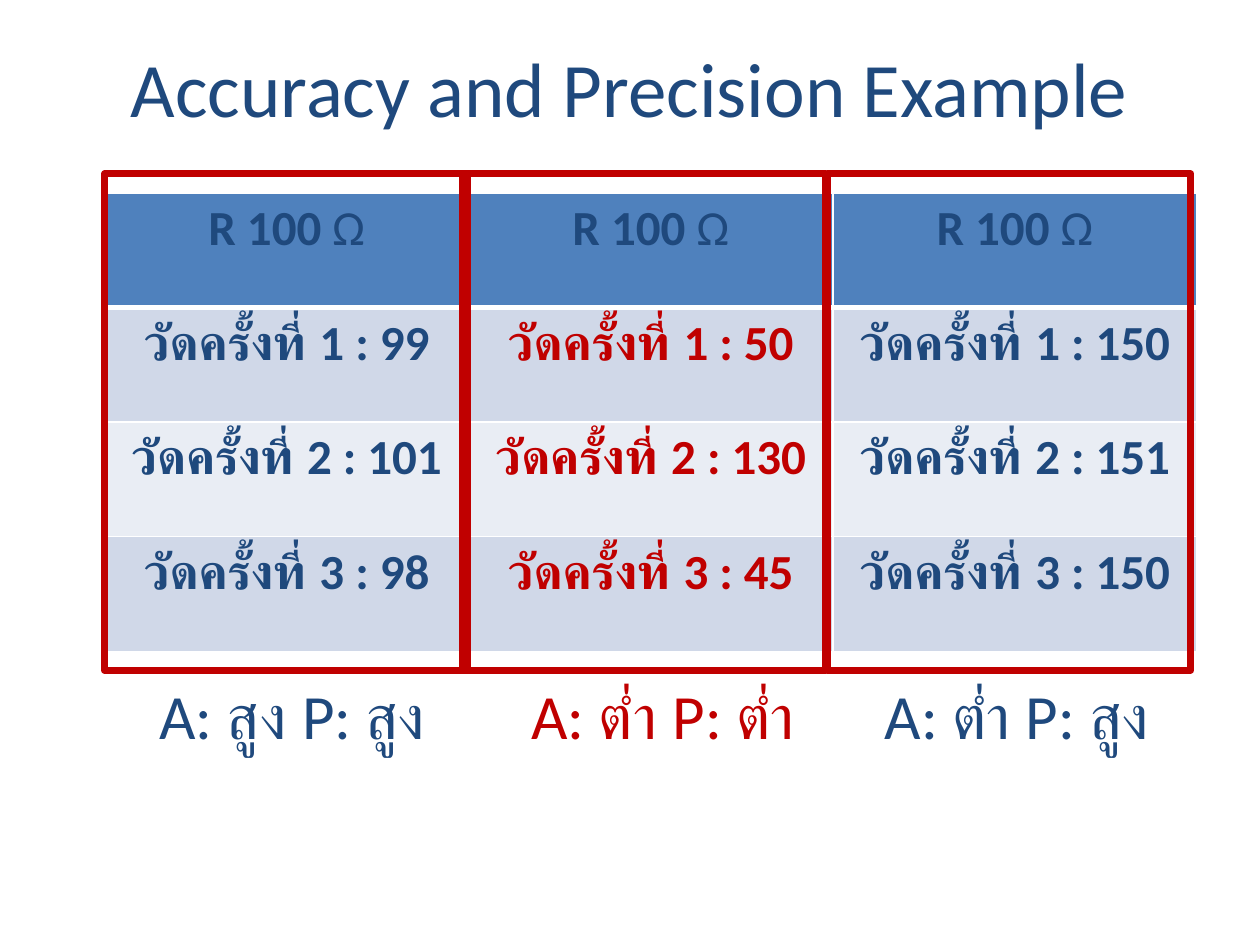
from lxml.etree import SubElement
from pptx import Presentation
from pptx.dml.color import RGBColor
from pptx.enum.shapes import MSO_SHAPE
from pptx.enum.text import MSO_ANCHOR, PP_ALIGN
from pptx.oxml import parse_xml
from pptx.oxml.ns import nsdecls, qn
from pptx.util import Inches, Pt

NAVY = RGBColor(0x1F, 0x49, 0x7D)
RED = RGBColor(0xC0, 0x00, 0x00)
HEADER_BLUE = RGBColor(0x4F, 0x81, 0xBD)
BAND_DARK = RGBColor(0xD0, 0xD8, 0xE8)
BAND_LIGHT = RGBColor(0xE9, 0xED, 0xF4)

# One entry per resistor: readings, verdict, text colour, frame left, verdict left
RESISTORS = [
    ((99, 101, 98), "A: สูง P: สูง", NAVY, 0.83, 1.06),
    ((50, 130, 45), "A: ต่ำ P: ต่ำ", RED, 3.67, 4),
    ((150, 151, 150), "A: ต่ำ P: สูง", NAVY, 6.57, 6.81),
]


class SlideBuilder:
    font_name = "Calibri"

    def __init__(self, slide):
        self.slide = slide

    def add_run(self, paragraph, text, size, color, bold=False):
        paragraph.alignment = PP_ALIGN.CENTER
        run = paragraph.add_run()
        run.text = text
        run.font.color.rgb = color
        style = {"name": self.font_name, "size": Pt(size), "bold": bold}
        for attribute, value in style.items():
            setattr(run.font, attribute, value)

    def text(self, box, text, size, color, anchor=MSO_ANCHOR.TOP):
        frame = self.slide.shapes.add_textbox(*map(Inches, box)).text_frame
        layout = {"word_wrap": True, "vertical_anchor": anchor}
        for attribute, value in layout.items():
            setattr(frame, attribute, value)
        self.add_run(frame.paragraphs[0], text, size, color)

    def table(self, box, rows, columns):
        return self.slide.shapes.add_table(rows, columns, *map(Inches, box)).table

    def cell(self, cell, fill, runs, bottom_width=1):
        cell.fill.solid()
        cell.fill.fore_color.rgb = fill
        for text, color, bold in runs:
            self.add_run(cell.text_frame.paragraphs[0], text, 28, color, bold)
        # White borders come before the fill in the cell properties
        properties = cell._tc.get_or_add_tcPr()
        widths = {"lnL": 1, "lnR": 1, "lnT": 1, "lnB": bottom_width}
        for index, (side, width) in enumerate(widths.items()):
            properties.insert(index, parse_xml(
                f'<a:{side} {nsdecls("a")} w="{Pt(width)}"><a:solidFill>'
                f'<a:srgbClr val="FFFFFF"/></a:solidFill></a:{side}>'))

    def frame(self, box, color, width):
        shape = self.slide.shapes.add_shape(MSO_SHAPE.RECTANGLE, *map(Inches, box))
        shape.shadow.inherit = False
        shape.fill.background()
        shape.line.color.rgb = color
        shape.line.width = Pt(width)
        SubElement(shape.line._ln, qn("a:round"))


def main():
    deck = Presentation()
    deck.slide_width, deck.slide_height = Inches(10), Inches(7.5)
    builder = SlideBuilder(deck.slides.add_slide(deck.slide_layouts[6]))

    # Title
    builder.text((0.5, 0.06, 9, 1.25), "Accuracy and Precision Example",
                 44, NAVY, MSO_ANCHOR.MIDDLE)

    # Readings, one column per resistor
    readings_table = builder.table((0.83, 1.53, 8.67, 3.64), 4, len(RESISTORS))
    for column, (readings, _, color, _, _) in enumerate(RESISTORS):
        builder.cell(readings_table.cell(0, column), HEADER_BLUE,
                     [("R 100 ", NAVY, True), ("Ω", NAVY, False)], bottom_width=3)
        for trial, reading in enumerate(readings, start=1):
            band = BAND_DARK if trial % 2 else BAND_LIGHT
            builder.cell(readings_table.cell(trial, column), band,
                         [(f"วัดครั้งที่ {trial} : {reading}", color, True)])

    # Verdicts and red frames
    for _, verdict, color, _, verdict_left in RESISTORS:
        builder.text((verdict_left, 5.32, 2.52, 0.71), verdict, 36, color)
    for _, _, _, frame_left, _ in RESISTORS:
        builder.frame((frame_left, 1.38, 2.88, 3.94), RED, 4)

    deck.save("out.pptx")


if __name__ == "__main__":
    main()
